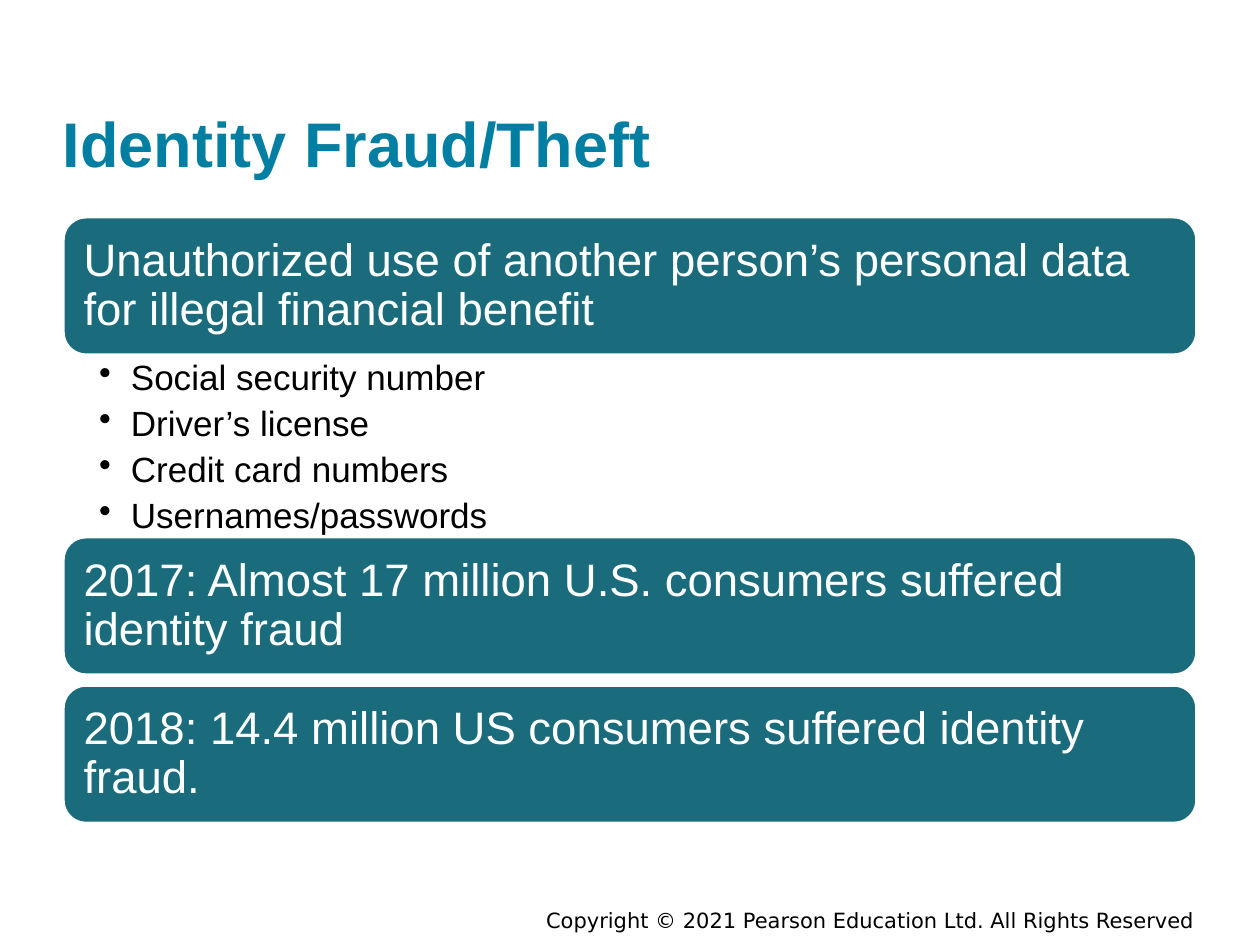
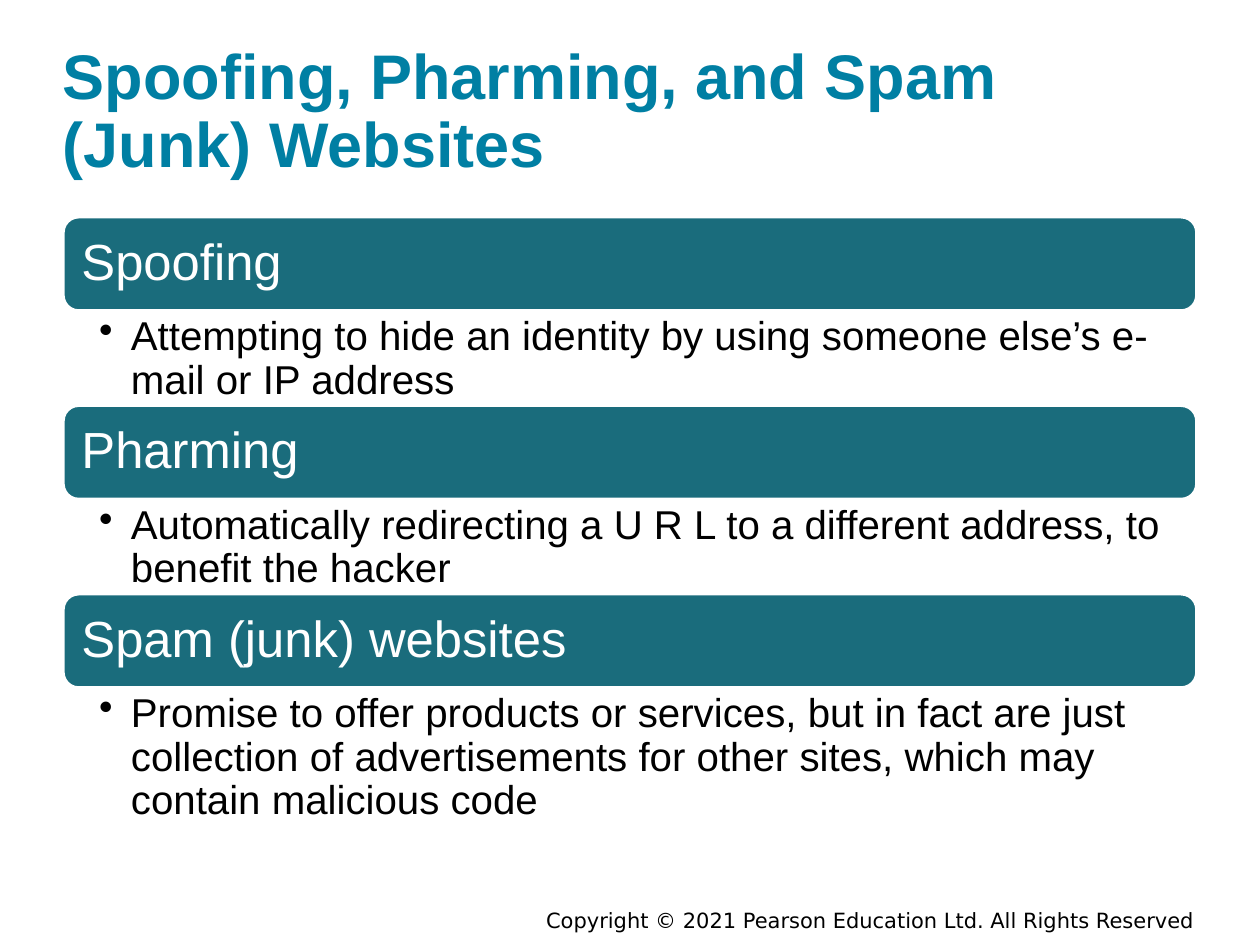
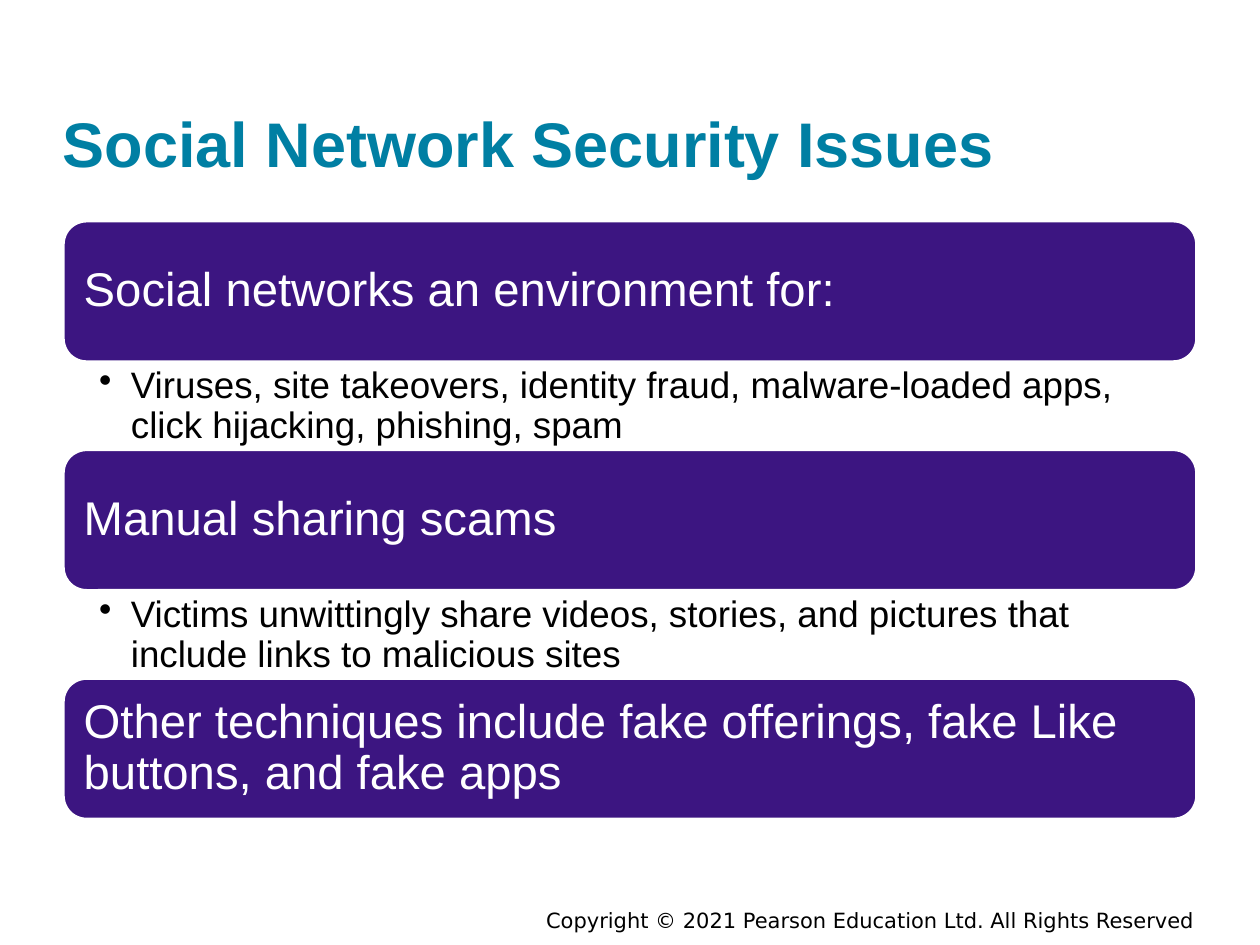
"""Build three slides on identity fraud, fake websites and social network risks."""
from dataclasses import dataclass

from lxml.etree import SubElement as SubEl
from pptx import Presentation as Deck
from pptx.dml.color import RGBColor as Rgb
from pptx.enum.shapes import MSO_SHAPE as Kind
from pptx.enum.text import MSO_ANCHOR as Anchor, PP_ALIGN as Align
from pptx.oxml.ns import qn
from pptx.util import Cm, Pt


@dataclass(frozen=True)
class Theme:
    """Colours, fonts, type sizes and the shared column."""
    blue: str = "007FA3"
    teal: str = "1A6C7C"
    plum: str = "3C1581"
    white: str = "FFFFFF"
    black: str = "000000"
    face: str = "Arial"
    foot_face: str = "DejaVu Sans"
    head_size: int = 36
    foot_size: int = 12
    left: float = 1.27
    width: float = 22.86
    tight: float = 0.9
    gap: float = 0.2


@dataclass(frozen=True)
class Look:
    """Measures of one stack of bands."""
    fill: str
    top: float
    band: float
    band_size: int
    list_size: int


THEME = Theme()
TEAL_TALL = Look(THEME.teal, 4.37, 2.79, 26, 20)
TEAL_LOW = Look(THEME.teal, 4.37, 1.9, 29, 23)
PLUM_TALL = Look(THEME.plum, 4.45, 2.85, 27, 21)


def style(para, size, color, face=THEME.face, bold=False):
    """Set the font of a paragraph."""
    font = para.font
    font.size, font.name, font.bold = Pt(size), face, bold
    font.color.rgb = Rgb.from_string(color)


def set_frame(frame, anchor, left, top, right, low):
    """Set wrapping, anchor and insets of a text frame."""
    frame.word_wrap = True
    frame.vertical_anchor = anchor
    frame.margin_left, frame.margin_top = Cm(left), Cm(top)
    frame.margin_right, frame.margin_bottom = Cm(right), Cm(low)


def add_box(slide, left, top, width, height):
    """Add a text box and return its frame."""
    box = slide.shapes.add_textbox(Cm(left), Cm(top), Cm(width), Cm(height))
    return box.text_frame


def add_title(slide, text):
    """Add the slide title, resting on its lower edge."""
    frame = add_box(slide, THEME.left, 0.61, THEME.width, 3.05)
    set_frame(frame, Anchor.BOTTOM, 0, 0, 0, 0)
    para = frame.paragraphs[0]
    para.text = text
    para.line_spacing = THEME.tight
    style(para, THEME.head_size, THEME.blue, bold=True)


def add_foot(slide):
    """Add the copyright line."""
    frame = add_box(slide, 7.52, 18.03, 16.81, 1.02)
    set_frame(frame, Anchor.MIDDLE, 0.25, 0.13, 0.25, 0.13)
    para = frame.paragraphs[0]
    para.text = "Copyright © 2021 Pearson Education Ltd. All Rights Reserved"
    para.alignment = Align.RIGHT
    style(para, THEME.foot_size, THEME.black, THEME.foot_face)


def add_band(slide, look, top, text):
    """Add a rounded band with its heading."""
    band = slide.shapes.add_shape(
        Kind.ROUNDED_RECTANGLE, Cm(THEME.left), Cm(top), Cm(THEME.width), Cm(look.band))
    band.shadow.inherit = False
    band.fill.solid()
    band.fill.fore_color.rgb = Rgb.from_string(look.fill)
    band.line.color.rgb = Rgb.from_string(THEME.white)
    band.line.width = Pt(2)
    set_frame(band.text_frame, Anchor.MIDDLE, 0.28, 0.28, 0.28, 0.28)
    para = band.text_frame.paragraphs[0]
    para.text = text
    para.alignment = Align.LEFT
    para.line_spacing = THEME.tight
    style(para, look.band_size, THEME.white)


def add_bullet(para):
    """Give a paragraph a hanging bullet."""
    props = para._p.get_or_add_pPr()
    props.set("marL", str(Cm(0.64)))
    props.set("indent", str(-Cm(0.64)))
    SubEl(props, qn("a:buChar")).set("char", "•")


def add_list(slide, look, top, height, items):
    """Add the bullet list below a band."""
    frame = add_box(slide, THEME.left, top, THEME.width, height)
    set_frame(frame, Anchor.TOP, 0.73, 0.1, 0.55, 0.1)
    for num, item in enumerate(items):
        para = frame.add_paragraph() if num else frame.paragraphs[0]
        para.text = item
        add_bullet(para)
        para.line_spacing = THEME.tight
        para.space_after = Pt(look.list_size * 0.24)
        style(para, look.list_size, THEME.black)


def add_stack(slide, look, rows):
    """Stack bands and lists, each below the one before."""
    top = look.top
    for head, height, items in rows:
        add_band(slide, look, top, head)
        top += look.band
        if items:
            add_list(slide, look, top, height, items)
        top += height


def add_page(deck, title, look, rows):
    """Add one slide with title, stack and footer."""
    slide = deck.slides.add_slide(deck.slide_layouts[6])
    add_foot(slide)
    add_title(slide, title)
    add_stack(slide, look, rows)


def main():
    """Build and save the deck."""
    deck = Deck()
    deck.slide_width, deck.slide_height = Cm(25.4), Cm(19.05)
    add_page(deck, "Identity Fraud/Theft", TEAL_TALL, [
        ("Unauthorized use of another person’s personal data for illegal financial benefit", 3.66,
         ["Social security number", "Driver’s license",
          "Credit card numbers", "Usernames/passwords"]),
        ("2017: Almost 17 million U.S. consumers suffered identity fraud", THEME.gap, []),
        ("2018: 14.4 million US consumers suffered identity fraud.", THEME.gap, []),
    ])
    add_page(deck, "Spoofing, Pharming, and Spam (Junk) Websites", TEAL_LOW, [
        ("Spoofing", 1.9,
         ["Attempting to hide an identity by using someone else’s e-mail or IP address"]),
        ("Pharming", 1.9,
         ["Automatically redirecting a U R L to a different address, to benefit the hacker"]),
        ("Spam (junk) websites", 2.74,
         ["Promise to offer products or services, but in fact are just collection of "
          "advertisements for other sites, which may contain malicious code"]),
    ])
    add_page(deck, "Social Network Security Issues", PLUM_TALL, [
        ("Social networks an environment for:", 1.76,
         ["Viruses, site takeovers, identity fraud, malware-loaded apps, "
          "click hijacking, phishing, spam"]),
        ("Manual sharing scams", 1.76,
         ["Victims unwittingly share videos, stories, and pictures that "
          "include links to malicious sites"]),
        ("Other techniques include fake offerings, fake Like buttons, and fake apps",
         THEME.gap, []),
    ])
    deck.save("out.pptx")


if __name__ == "__main__":
    main()
